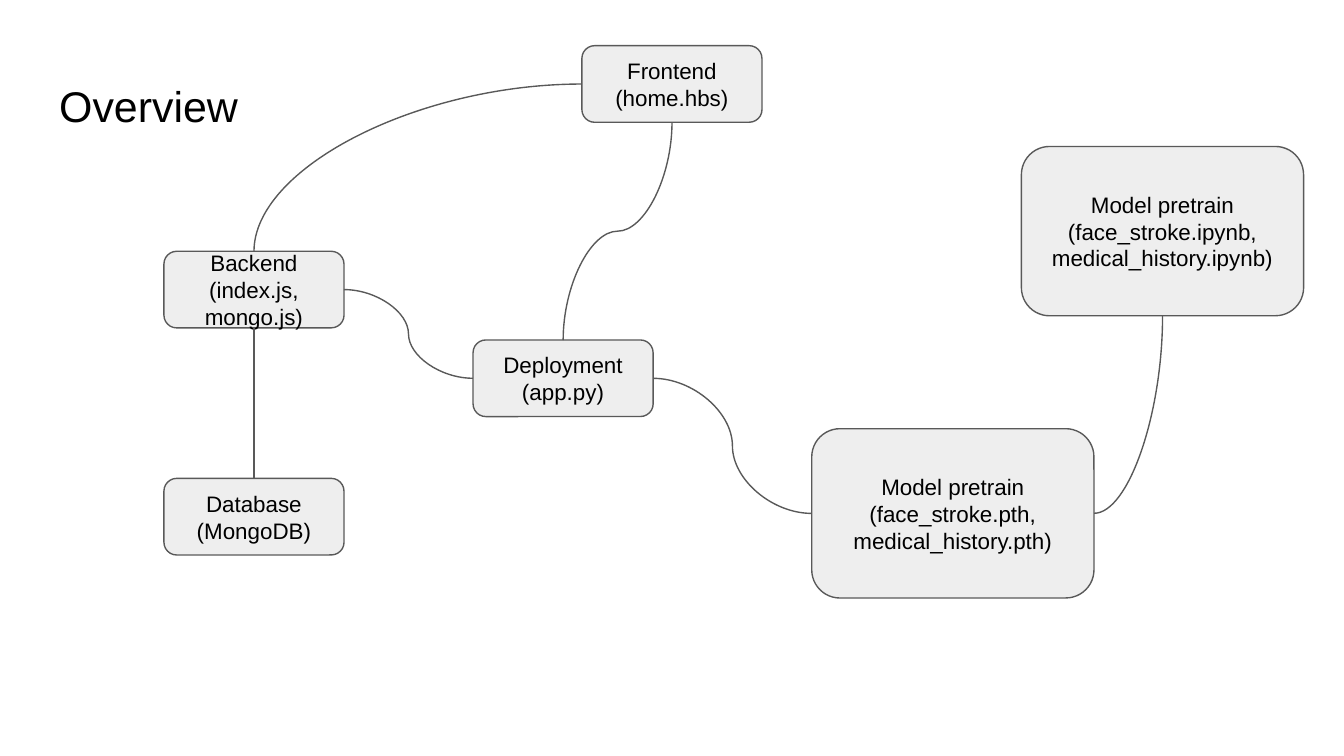
from dataclasses import dataclass

from lxml import etree
from pptx import Presentation
from pptx.dml.color import RGBColor
from pptx.enum.shapes import MSO_CONNECTOR, MSO_SHAPE
from pptx.enum.text import MSO_ANCHOR, MSO_AUTO_SIZE, PP_ALIGN
from pptx.oxml.ns import qn
from pptx.util import Inches, Pt

CURVE = MSO_CONNECTOR.CURVE
ROUNDED = MSO_SHAPE.ROUNDED_RECTANGLE
TOP, MIDDLE = MSO_ANCHOR.TOP, MSO_ANCHOR.MIDDLE
LEFT, CENTER = PP_ALIGN.LEFT, PP_ALIGN.CENTER
NO_AUTOFIT = MSO_AUTO_SIZE.NONE

COLORS = {"text": "000000", "box": "EEEEEE", "line": "595959"}
SLIDE_WIDTH = 10
SLIDE_HEIGHT = SLIDE_WIDTH * 9 / 16
SMALL = (1.34, 0.57)
LARGE = (2.1, 1.26)


@dataclass(frozen=True)
class Box:
    text: str
    left: float
    top: float
    size: tuple[float, float] = SMALL

    def site(self, side: str) -> tuple[float, float]:
        width, height = self.size
        fx, fy = {"top": (0.5, 0), "bottom": (0.5, 1),
                  "left": (0, 0.5), "right": (1, 0.5)}[side]
        return self.left + fx * width, self.top + fy * height


@dataclass(frozen=True)
class Link:
    start: str
    start_side: str
    end: str
    end_side: str
    preset: str = "curvedConnector3"


BOXES = {
    "frontend": Box("Frontend (home.hbs)", 4.33, 0.34),
    "database": Box("Database (MongoDB)", 1.22, 3.56),
    "deployment": Box("Deployment (app.py)", 3.52, 2.53),
    "backend": Box("Backend (index.js, mongo.js)", 1.22, 1.87),
    "weights": Box("Model pretrain (face_stroke.pth, medical_history.pth)",
                   6.04, 3.19, LARGE),
    "notebooks": Box("Model pretrain (face_stroke.ipynb, medical_history.ipynb)",
                     7.6, 1.09, LARGE),
}

LINKS = [
    Link("backend", "right", "deployment", "left"),
    Link("backend", "top", "frontend", "left", "curvedConnector2"),
    Link("backend", "bottom", "database", "top"),
    Link("deployment", "right", "weights", "left"),
    Link("deployment", "top", "frontend", "bottom"),
    Link("weights", "right", "notebooks", "bottom", "curvedConnector2"),
]


def rgb(name: str) -> RGBColor:
    return RGBColor.from_string(COLORS[name])


def write(sp, text: str, *, size: float, align=LEFT, anchor=TOP,
          color: str = "text", font: str = "Arial") -> None:
    tf = sp.text_frame
    tf.word_wrap = True
    tf.auto_size = NO_AUTOFIT
    tf.vertical_anchor = anchor
    tf.margin_left = tf.margin_right = Inches(0.1)
    tf.margin_top = tf.margin_bottom = Inches(0.1)
    p = tf.paragraphs[0]
    p.alignment = align
    r = p.add_run()
    r.text = text
    r.font.name = font
    r.font.size = Pt(size)
    r.font.color.rgb = rgb(color)


def set_line(sp) -> None:
    sp.line.color.rgb = rgb("line")
    sp.line.width = Pt(0.75)


def draw_box(s, box: Box) -> None:
    sp = s.shapes.add_shape(ROUNDED, Inches(box.left), Inches(box.top),
                            *map(Inches, box.size))
    sp.shadow.inherit = False
    sp.fill.solid()
    sp.fill.fore_color.rgb = rgb("box")
    set_line(sp)
    write(sp, box.text, size=12, align=CENTER, anchor=MIDDLE)


def draw_link(s, link: Link) -> None:
    x1, y1 = BOXES[link.start].site(link.start_side)
    x2, y2 = BOXES[link.end].site(link.end_side)
    vertical = link.start_side in ("top", "bottom")
    if vertical:
        cx, cy = (x1 + x2) / 2, (y1 + y2) / 2
        half_run, half_rise = (y1 - y2) / 2, (x2 - x1) / 2
        x1, x2 = cx - half_run, cx + half_run
        y1, y2 = cy - half_rise, cy + half_rise
    sp = s.shapes.add_connector(CURVE, *map(Inches, (x1, y1, x2, y2)))
    set_line(sp)
    props = sp._element.spPr
    if vertical:
        props.find(qn("a:xfrm")).set("rot", str(270 * 60000))
    props.find(qn("a:prstGeom")).set("prst", link.preset)
    etree.SubElement(props, qn("a:effectLst"))


def main() -> None:
    prs = Presentation()
    prs.slide_width, prs.slide_height = Inches(SLIDE_WIDTH), Inches(SLIDE_HEIGHT)
    s = prs.slides.add_slide(prs.slide_layouts[5])
    title = s.shapes.title
    title.left, title.top = Inches(0.34), Inches(0.49)
    title.width, title.height = Inches(9.32), Inches(0.63)
    write(title, "Overview", size=23)
    for box in BOXES.values():
        draw_box(s, box)
    for link in LINKS:
        draw_link(s, link)
    prs.save("out.pptx")


if __name__ == "__main__":
    main()
